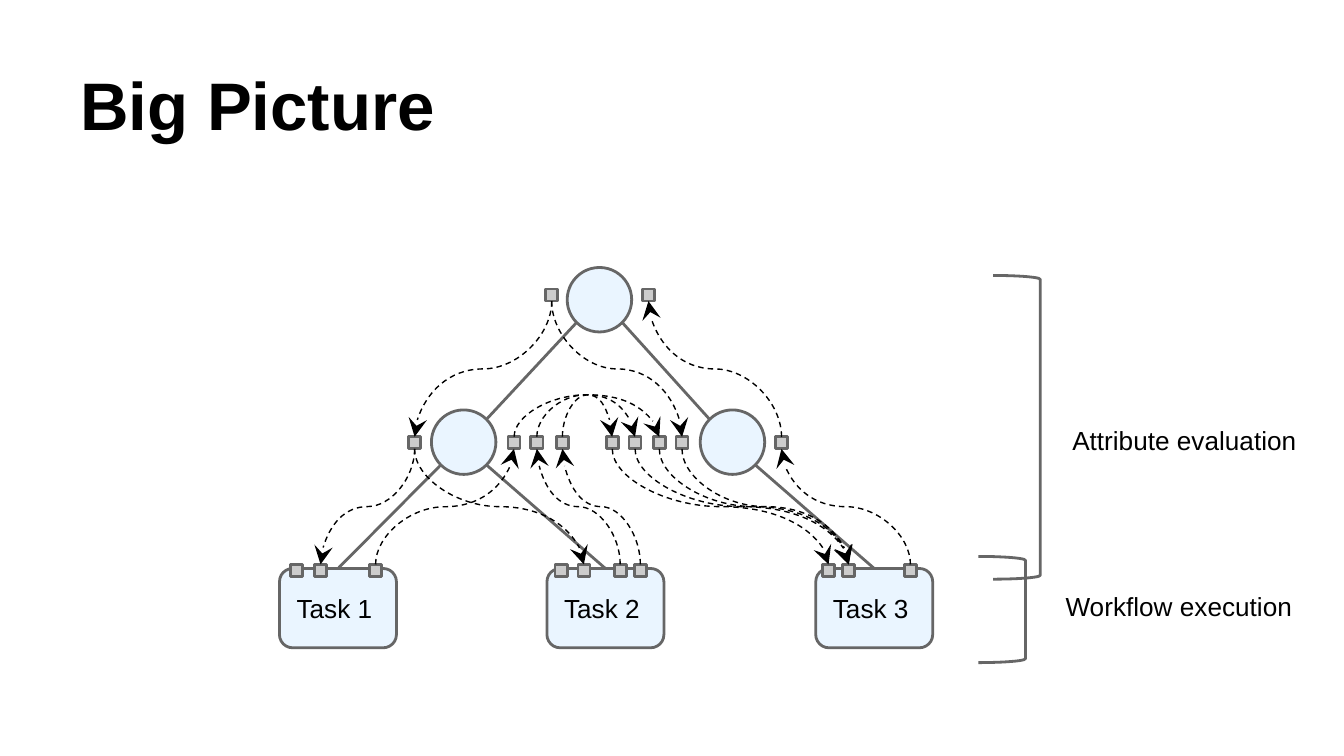
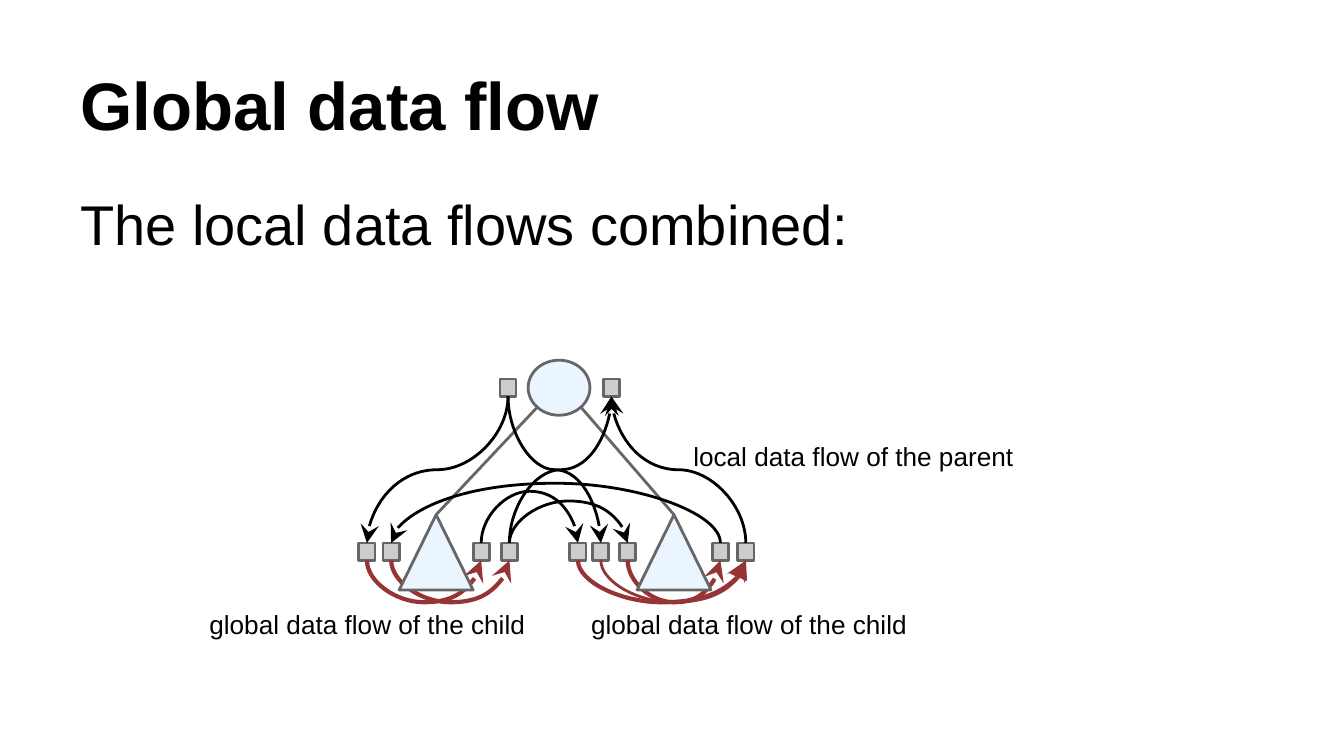
from math import sqrt

from lxml.etree import SubElement
from pptx import Presentation
from pptx.dml.color import RGBColor
from pptx.enum.dml import MSO_LINE
from pptx.enum.shapes import MSO_CONNECTOR, MSO_SHAPE
from pptx.enum.text import MSO_ANCHOR, PP_ALIGN
from pptx.oxml.ns import qn
from pptx.util import Inches, Pt

# Shared style
FONT = "Arial"
BLACK, GRAY, PORT, PALE, RED = "000000", "666666", "CCCCCC", "EAF5FF", "963334"
TITLE = (0.5, 0.23, 9, 0.94)
FLAT = 600 / Inches(1)  # least height of a curve's box, in inches

# Big Picture: tree, ports by row, and flows between ports
TASKS = [("Task 1", 2.08), ("Task 2", 4.07), ("Task 3", 6.07)]
NODES = {"root": (4.22, 1.99), "left": (3.21, 3.05), "right": (5.21, 3.05)}
EDGES = [("root", "left"), ("root", "right")]
STEMS = [("left", 0, -1), ("left", 1, 1), ("right", 2, 1)]
PORTS = {
    "r": (2.15, [4.06, 4.78]),
    "m": (3.25, [3.04, 3.78, 3.95, 4.14, 4.51, 4.68, 4.86, 5.03, 5.77]),
    "l": (4.2, [2.16, 2.34, 2.75, 4.13, 4.3, 4.57, 4.72, 6.12, 6.27, 6.73]),
}
FLOWS = [
    ("m0", "l1"), ("l2", "m1"), ("l5", "m2"), ("l6", "m3"), ("m4", "l7"),
    ("m5", "l8"), ("m6", "l8"), ("m7", "l8"), ("l9", "m8"), ("m8", "r1"),
    ("m0", "l4"), ("r0", "m0"), ("r0", "m7"),
    ("m1", "m6", -0.26), ("m2", "m5", -0.26), ("m3", "m4", -0.26),
]
SPANS = [
    ("Attribute evaluation", (7.88, 3.06, 1.92, 0.48), (7.39, 2.05, 0.35, 2.26)),
    ("Workflow execution", (7.83, 4.29, 2.03, 0.48), (7.28, 4.14, 0.35, 0.79)),
]

# Global data flow: ports, the parent's flows, and the children's flows
PARENT = (3.93, 2.68, 0.46, 0.41)
KIDS = [2.97, 4.74]
ENDS = {
    "r": (2.82, [3.72, 4.49]),
    "l": (4.04, [2.67, 2.85, 3.52, 3.73, 4.24, 4.41, 4.61, 5.3, 5.49]),
}
LOCAL = [
    ("r0", "l0"), ("r0", "l5"), ("l8", "r1"), ("l7", "l1", -0.37),
    ("l3", "l6", -0.26), ("l3", "r1"), ("l2", "l4", -0.32),
]
GLOBAL = [
    ("l6", "l7", 2.25, "stealth"), ("l0", "l2", 2.25, "stealth"),
    ("l1", "l3", 2.25, "stealth"), ("l5", "l8", 1.5, "triangle"),
    ("l4", "l8", 2.25, "stealth"),
]
NOTES = [
    ("global data flow of the child", (4.3, 4.43, 2.67, 0.47)),
    ("local data flow of the parent", (5.06, 3.18, 2.72, 0.41)),
    ("global data flow of the child", (1.46, 4.43, 2.67, 0.47)),
]


def color(code):
    return RGBColor.from_string(code)


def write(shape, text, size=14, bold=False, anchor=MSO_ANCHOR.TOP):
    frame = shape.text_frame
    frame.word_wrap = True
    frame.vertical_anchor = anchor
    frame.margin_left = frame.margin_right = Inches(0.1)
    frame.margin_top = frame.margin_bottom = Inches(0.1)
    frame.text = text
    line = frame.paragraphs[0]
    line.alignment = PP_ALIGN.LEFT
    font = line.runs[0].font
    font.name, font.size, font.bold = FONT, Pt(size), bold
    font.color.rgb = color(BLACK)


def label(slide, text, box, **style):
    write(slide.shapes.add_textbox(*map(Inches, box)), text, **style)


def draw(slide, kind, box, fill=None):
    shape = slide.shapes.add_shape(kind, *map(Inches, box))
    shape.shadow.inherit = False
    if fill:
        shape.fill.solid()
        shape.fill.fore_color.rgb = color(fill)
    else:
        shape.fill.background()
    shape.line.color.rgb = color(GRAY)
    shape.line.width = Pt(1.5)
    return shape


def link(slide, kind, start, end, tint=GRAY, width=1.5):
    line = slide.shapes.add_connector(kind, *map(Inches, (*start, *end)))
    line.line.color.rgb = color(tint)
    line.line.width = Pt(width)
    SubElement(line._element.spPr, qn("a:effectLst"))
    return line


def tie(slide, start, end):
    return link(slide, MSO_CONNECTOR.STRAIGHT, start, end)


def rim(box, side, rise):
    """Point on an ellipse's diagonal; side and rise are -1 or 1."""
    x, y, w, h = box
    return (x + w / 2 * (1 + side / sqrt(2)), y + h / 2 * (1 + rise / sqrt(2)))


def bend(slide, start, end, mid, tint, width, head="stealth", dash=False):
    """Curve that leaves and arrives upright, turning at height mid."""
    (x1, y1), (x2, y2) = start, end
    drop = y2 - y1 if abs(y2 - y1) > FLAT else FLAT
    w, h = abs(drop), abs(x2 - x1)
    x, y = (x1 + x2 - w) / 2, (y1 + y2 - h) / 2
    line = link(slide, MSO_CONNECTOR.CURVE, (x, y), (x + w, y + h), tint, width)
    # Turn the sideways curve upright
    spot = line._element.spPr.find(qn("a:xfrm"))
    back = x2 < x1
    spot.set("rot", str((90 if back else 270) * 60000))
    if back == (drop < 0):
        spot.set("flipH", "1")
    form = line._element.spPr.find(qn("a:prstGeom"))
    av = form.find(qn("a:avLst"))
    if av is None:
        av = SubElement(form, qn("a:avLst"))
    turn = round((mid - y1) / drop * 100000)
    SubElement(av, qn("a:gd"), name="adj1", fmla=f"val {turn}")
    if dash:
        line.line.dash_style = MSO_LINE.DASH
    SubElement(line.line._ln, qn("a:tailEnd"), type=head, w="lg", len="lg")


def place(slide, rows, w, h):
    """Draw the ports and return their boxes by name."""
    boxes = {}
    for key, (y, lefts) in rows.items():
        for i, x in enumerate(lefts):
            boxes[f"{key}{i}"] = (x, y, w, h)
            draw(slide, MSO_SHAPE.RECTANGLE, (x, y, w, h), PORT)
    return boxes


def flow(slide, ports, src, dst, bulge=0, tint=BLACK, width=1.5, **style):
    """Join facing sides of two rows, or arch between ports of one row."""
    x1, y1, w, h = ports[src]
    x2, y2 = ports[dst][:2]
    top = y1 + (h if y2 > y1 or bulge > 0 else 0)
    low = y2 + (h if y2 < y1 or bulge > 0 else 0)
    mid = top + bulge if bulge else (top + low) / 2
    bend(slide, (x1 + w / 2, top), (x2 + w / 2, low), mid, tint, width, **style)


def page(deck, title):
    slide = deck.slides.add_slide(deck.slide_layouts[6])
    label(slide, title, TITLE, size=36, bold=True, anchor=MSO_ANCHOR.BOTTOM)
    return slide


def picture(deck):
    slide = page(deck, "Big Picture")
    # Tasks and tree
    tasks = []
    for text, x in TASKS:
        task = draw(slide, MSO_SHAPE.ROUNDED_RECTANGLE, (x, 4.23, 0.87, 0.59), PALE)
        write(task, text, anchor=MSO_ANCHOR.MIDDLE)
        tasks.append(task)
    nodes = {key: (*at, 0.48, 0.48) for key, at in NODES.items()}
    for box in nodes.values():
        draw(slide, MSO_SHAPE.OVAL, box, PALE)
    for top, low in EDGES:
        side = 1 if nodes[low][0] > nodes[top][0] else -1
        tie(slide, rim(nodes[top], side, 1), rim(nodes[low], -side, -1))
    for key, i, side in STEMS:
        start = rim(nodes[key], side, 1)
        tie(slide, start, start).end_connect(tasks[i], 0)
    # Brackets with labels
    for text, box, span in SPANS:
        draw(slide, MSO_SHAPE.RIGHT_BRACKET, span).adjustments[0] = 0.083
        label(slide, text, box)
    # Attributes and their flows
    ports = place(slide, PORTS, 0.09, 0.09)
    for item in FLOWS:
        flow(slide, ports, *item, width=0.75, dash=True)


def combined(deck):
    slide = page(deck, "Global data flow")
    label(slide, "The local data flows combined:", (0.5, 1.31, 9, 0.85), size=30)
    # Parent and its edges
    draw(slide, MSO_SHAPE.OVAL, PARENT, PALE)
    starts = [rim(PARENT, side, 1) for side in (-1, 1)]
    ties = [tie(slide, start, start) for start in starts]
    # Ports and flows
    ports = place(slide, ENDS, 0.12, 0.13)
    for item in LOCAL:
        flow(slide, ports, *item)
    for src, dst, width, head in GLOBAL:
        flow(slide, ports, src, dst, 0.26, RED, width, head=head)
    # Child subtrees, in front of their flows
    for x, edge in zip(KIDS, ties):
        box = (x, 3.83, 0.55, 0.56)
        edge.end_connect(draw(slide, MSO_SHAPE.ISOSCELES_TRIANGLE, box, PALE), 0)
    for text, box in NOTES:
        label(slide, text, box)


def main():
    deck = Presentation()
    deck.slide_width = Inches(10)
    deck.slide_height = deck.slide_width * 9 // 16
    picture(deck)
    combined(deck)
    deck.save("out.pptx")


if __name__ == "__main__":
    main()
